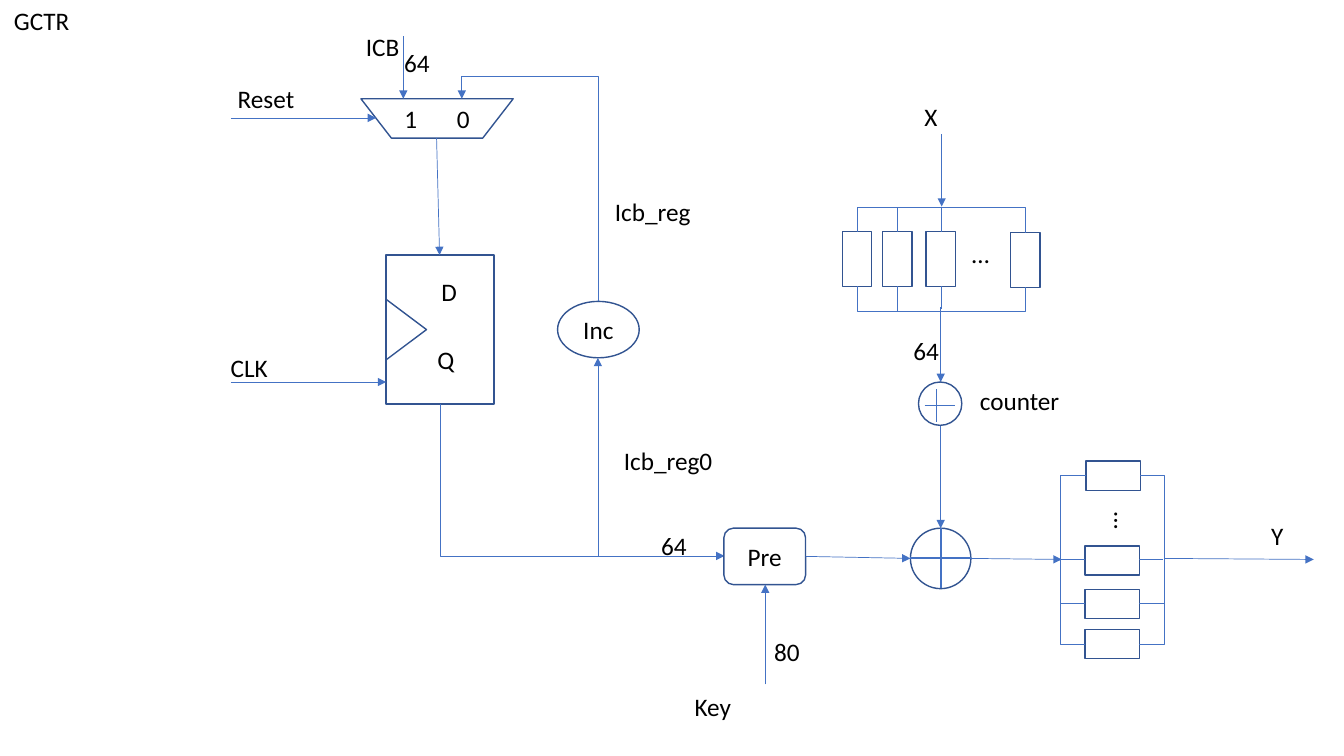
from dataclasses import dataclass
from typing import Any

from pptx import Presentation
from pptx.dml.color import RGBColor
from pptx.enum import shapes, text
from pptx.oxml import ns, xmlchemy
from pptx.util import Inches, Pt

WHITE = RGBColor(0xFF, 0xFF, 0xFF)
BLACK = RGBColor(0, 0, 0)
OUTLINE = RGBColor(0x32, 0x54, 0x91)
WIRE = RGBColor(0x44, 0x72, 0xC4)
KIND = shapes.MSO_SHAPE


def write(frame, words, align):
    frame.word_wrap = True
    line = frame.paragraphs[0]
    line.text = words
    line.alignment = align
    line.font.name = "Calibri"
    line.font.size = Pt(18)
    line.font.color.rgb = BLACK


def style_wire(wire, weight, arrow):
    wire.line.color.rgb = WIRE
    wire.line.width = Pt(weight)
    wire._element.spPr.append(xmlchemy.OxmlElement("a:effectLst"))
    if arrow:
        tip = xmlchemy.OxmlElement("a:tailEnd")
        tip.set("type", "triangle")
        wire.line._get_or_add_ln().append(tip)


@dataclass
class Region:
    slide: Any
    left: float
    top: float

    def at(self, x, y):
        return Inches(self.left + x), Inches(self.top + y)

    def label(self, words, x, y, width, turn=0):
        box = self.slide.shapes.add_textbox(*self.at(x, y), Inches(width), Inches(0.4))
        write(box.text_frame, words, text.PP_ALIGN.LEFT)
        box.text_frame.auto_size = text.MSO_AUTO_SIZE.SHAPE_TO_FIT_TEXT
        box.rotation = turn

    def block(self, kind, x, y, width, height, words="", filled=False, turn=0):
        part = self.slide.shapes.add_shape(kind, *self.at(x, y), Inches(width), Inches(height))
        part.shadow.inherit = False
        part.rotation = turn
        part.line.color.rgb = OUTLINE
        part.line.width = Pt(1)
        if filled:
            part.fill.solid()
            part.fill.fore_color.rgb = WHITE
        else:
            part.fill.background()
        if words:
            write(part.text_frame, words, text.PP_ALIGN.CENTER)
            part.text_frame.vertical_anchor = text.MSO_ANCHOR.MIDDLE
        return part

    def wire(self, x1, y1, x2, y2, arrow=False, weight=0.5):
        wire = self.slide.shapes.add_connector(
            shapes.MSO_CONNECTOR.STRAIGHT, *self.at(x1, y1), *self.at(x2, y2))
        style_wire(wire, weight, arrow)

    def elbow(self, x, y, width, height, turn, flip, bend=None, arrow=False):
        wire = self.slide.shapes.add_connector(
            shapes.MSO_CONNECTOR.ELBOW, *self.at(x, y), *self.at(x + width, y + height))
        frame = wire._element.spPr.find(ns.qn("a:xfrm"))
        frame.set("rot", str(turn * 60000))
        frame.set(flip, "1")
        outline = wire._element.spPr.find(ns.qn("a:prstGeom"))
        if bend is None:
            outline.set("prst", "bentConnector2")
        else:
            guides = outline.find(ns.qn("a:avLst"))
            if guides is None:
                guides = xmlchemy.OxmlElement("a:avLst")
                outline.append(guides)
            guide = xmlchemy.OxmlElement("a:gd")
            guide.set("name", "adj1")
            guide.set("fmla", f"val {round(bend * 100000)}")
            guides.append(guide)
        style_wire(wire, 0.5, arrow)


def counter_loop(slide, left, top):
    loop = Region(slide, left, top)
    mux = loop.block(KIND.FLOWCHART_MANUAL_OPERATION, 1.58, 0.98, 1.51, 0.39, "1\t0", True)
    mux.text_frame.margin_left = Inches(0.13)
    mux.text_frame.margin_right = 0
    choices = mux.text_frame.paragraphs[0]
    choices.alignment = text.PP_ALIGN.LEFT
    stops = xmlchemy.OxmlElement("a:tabLst")
    stop = xmlchemy.OxmlElement("a:tab")
    stop.set("pos", str(Inches(0.52)))
    stop.set("algn", "l")
    stops.append(stop)
    choices._p.get_or_add_pPr().insert(0, stops)

    loop.block(KIND.OVAL, 3.53, 2.99, 0.81, 0.56, "Inc", True)
    loop.block(KIND.RECTANGLE, 1.83, 2.53, 1.07, 1.48)
    loop.block(KIND.ISOSCELES_TRIANGLE, 1.73, 3.07, 0.6, 0.4, turn=90)
    for ends in ((0.29, 1.17, 1.73, 1.17), (2, 0.36, 2, 0.98), (2.33, 1.37, 2.36, 2.53),
                 (3.93, 5.52, 3.93, 3.55), (0.29, 3.79, 1.83, 3.79)):
        loop.wire(*ends, arrow=True)
    loop.elbow(3.02, 3.35, 1.51, 2.82, 270, "flipH", arrow=True)
    loop.elbow(2.25, 1.31, 2.01, 1.35, 270, "flipV", 1.11, arrow=True)
    for words, x, y, width in (
            ("Reset", 0.26, 0.78, 0.96), ("ICB", 1.53, 0.26, 0.63), ("64", 1.91, 0.42, 0.48),
            ("D", 2.28, 2.69, 0.25), ("Q", 2.24, 3.37, 0.25), ("CLK", 0.19, 3.45, 1.39),
            ("Icb_reg", 4, 1.9, 1.1), ("Icb_reg0", 4.09, 4.37, 1.1), ("64", 4.46, 5.21, 0.48)):
        loop.label(words, x, y, width)


def cipher(slide, left, top):
    stage = Region(slide, left, top)
    stage.block(KIND.ROUNDED_RECTANGLE, 0.18, 0.24, 0.81, 0.56, "Pre", True)
    stage.block(KIND.OVAL, 2.03, 0.24, 0.6, 0.6)
    stage.wire(2.03, 0.54, 2.63, 0.54, weight=1.5)
    stage.wire(2.33, 0.24, 2.33, 0.83, weight=1.5)
    for ends in ((0.59, 1.79, 0.59, 0.8), (0.99, 0.52, 2.03, 0.54), (2.63, 0.54, 3.53, 0.55),
                 (4.55, 0.54, 6.03, 0.55)):
        stage.wire(*ends, arrow=True)
    stage.label("80", 0.58, 1.26, 0.48)
    stage.label("Key", -0.21, 1.81, 0.62)
    stage.label("Y", 5.51, 0.11, 0.51)


def data_input(slide, left, top):
    feed = Region(slide, left, top)
    feed.label("X", 0.07, 0, 0.54)
    feed.wire(0.34, 0.37, 0.34, 1.09, arrow=True)
    feed.wire(0.33, 2.09, 0.33, 2.83, arrow=True)
    feed.wire(0.33, 3.27, 0.33, 4.28, arrow=True)
    feed.block(KIND.OVAL, 0.11, 2.83, 0.43, 0.43, filled=True)
    feed.wire(0.17, 3.06, 0.47, 3.06)
    feed.wire(0.29, 2.9, 0.29, 3.23)
    feed.label("64", -0.04, 2.32, 0.48)
    feed.label("counter", 0.62, 2.81, 1.46)


def register_bank(slide, left, top, sideways):
    bank = Region(slide, left, top)
    turn = 270 if sideways else 0

    def place(along, depth):
        return (depth, -along) if sideways else (along, depth)

    for along, depth in ((0, 0), (0.4, 0), (0.83, 0), (1.67, 0.01)):
        x, y = place(along, depth + 0.27)
        bank.block(KIND.RECTANGLE, x - 0.145, y - 0.27, 0.29, 0.54, turn=turn)
    for along, end in ((0.4, 0.79), (0.84, 0.77)):
        bank.wire(*place(along, 0), *place(along, -0.25))
        bank.wire(*place(along, 0.54), *place(along, end))
    for depth, bend in ((0, -25), (0.54, 25)):
        x, y = place(0.835, depth + 0.005)
        bank.elbow(x - 0.005, y - 0.835, 0.01, 1.67, 180 if sideways else 270, "flipH", bend)
    x, y = place(1.25, 0.22)
    bank.label("…", x - 0.21, y - 0.2, 0.42, turn)


def main():
    deck = Presentation()
    deck.slide_width = Inches(13.33)
    deck.slide_height = Inches(7.5)
    slide = deck.slides.add_slide(deck.slide_layouts[6])
    Region(slide, 0, 0).label("GCTR", 0.04, 0, 4.34)
    counter_loop(slide, 2, 0)
    cipher(slide, 7, 5)
    data_input(slide, 9, 0.96)
    register_bank(slide, 8.5, 2.3, False)
    register_bank(slide, 10.76, 6.39, True)
    deck.save("out.pptx")


if __name__ == "__main__":
    main()
